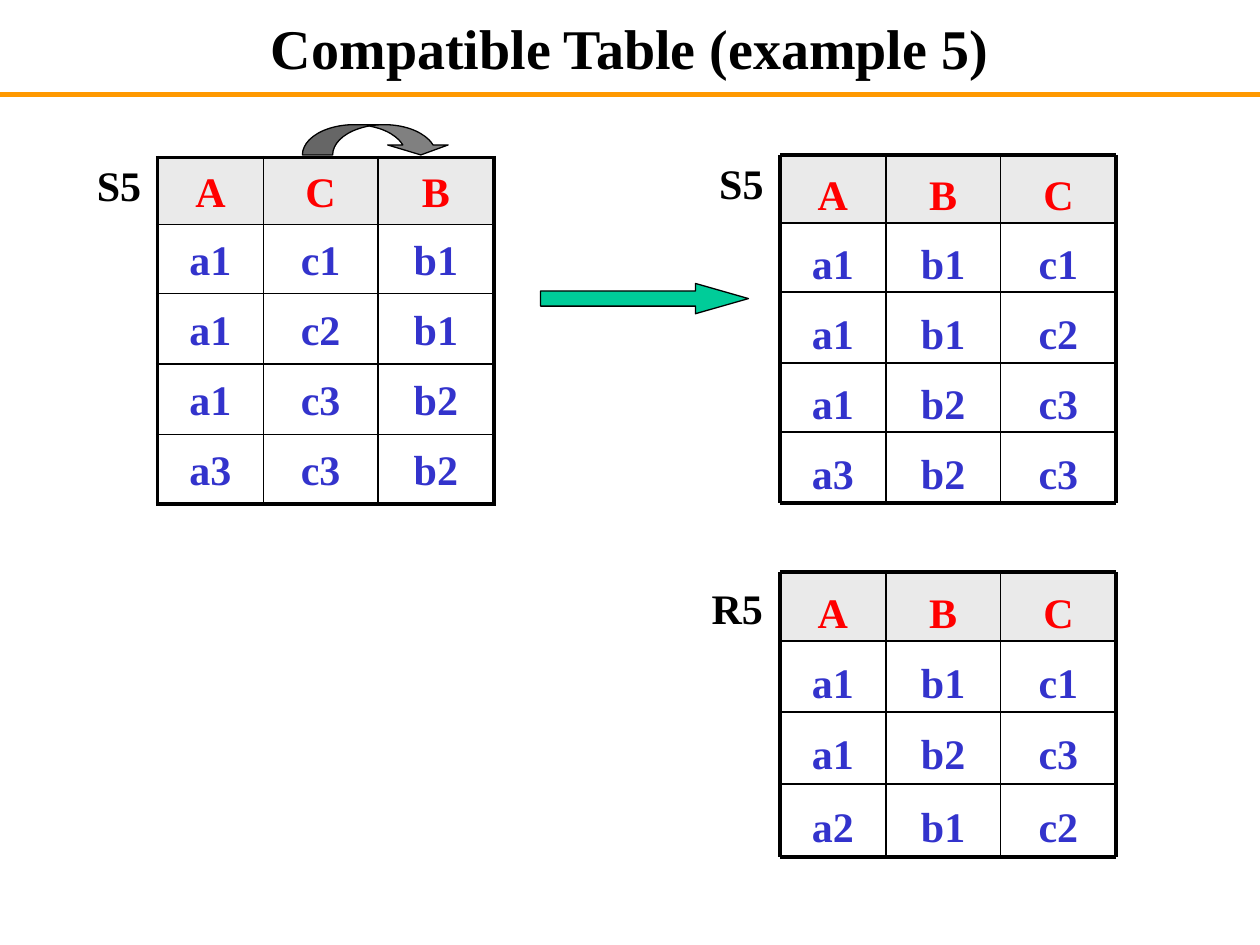
from itertools import accumulate

from lxml import etree
from pptx import Presentation
from pptx.dml.color import RGBColor
from pptx.enum.shapes import MSO_CONNECTOR, MSO_SHAPE
from pptx.enum.text import MSO_ANCHOR, MSO_AUTO_SIZE, PP_ALIGN
from pptx.oxml.ns import qn
from pptx.util import Inches, Pt

MIDDLE = MSO_ANCHOR.MIDDLE
CENTER = PP_ALIGN.CENTER
FIT_TEXT = MSO_AUTO_SIZE.SHAPE_TO_FIT_TEXT
STRAIGHT = MSO_CONNECTOR.STRAIGHT
RECTANGLE = MSO_SHAPE.RECTANGLE
BLACK = RGBColor(0x00, 0x00, 0x00)
WHITE = RGBColor(0xFF, 0xFF, 0xFF)
ORANGE = RGBColor(0xFF, 0x99, 0x00)
RED = RGBColor(0xFF, 0x00, 0x00)
BLUE = RGBColor(0x33, 0x33, 0xCC)
LIGHT_GRAY = RGBColor(0xEA, 0xEA, 0xEA)
GRAY = RGBColor(0x80, 0x80, 0x80)
GREEN = RGBColor(0x00, 0xCC, 0x99)

TITLE = "Compatible Table (example 5)"
COLUMN_WIDTHS = (0.84, 0.91, 0.92)
OUTER, INNER = 2.25, 1
BOX_TEXT_DROP = 0.04

SOURCE_TABLE = {
    "label": "S5", "label_at": (0.67, 1.27), "at": (1.25, 1.25),
    "heights": (0.53, 0.55, 0.56, 0.56, 0.55),
    "rows": ["A C B", "a1 c1 b1", "a1 c2 b1", "a1 c3 b2", "a3 c3 b2"]}
BOX_GRIDS = [
    {"label": "R5", "label_at": (5.55, 4.62), "at": (6.19, 4.54),
     "heights": (0.55, 0.56, 0.57, 0.58),
     "rows": ["A B C", "a1 b1 c1", "a1 b2 c3", "a2 b1 c2"]},
    {"label": "S5", "label_at": (5.61, 1.25), "at": (6.19, 1.23),
     "heights": (0.54, 0.55, 0.56, 0.55, 0.56),
     "rows": ["A B C", "a1 b1 c1", "a1 b1 c2", "a1 b2 c3", "a3 b2 c3"]},
]
ARROWS = [
    {"shape": MSO_SHAPE.RIGHT_ARROW, "at": (4.29, 2.25, 1.65, 0.24),
     "adjust": (0.5, 1.75), "fill": GREEN, "flip": False},
    {"shape": MSO_SHAPE.CURVED_UP_ARROW, "at": (2.4, 0.99, 1.18, 0.24),
     "adjust": (1, 2, 0.33), "fill": GRAY, "flip": True},
]


def write(frame, text, size, color, **paragraph_format):
    para = frame.paragraphs[0]
    span = para.add_run()
    span.text = text
    for name, value in paragraph_format.items():
        setattr(para, name, value)
    font_format = {"name": "Times New Roman", "size": Pt(size), "bold": True}
    for name, value in font_format.items():
        setattr(span.font, name, value)
    span.font.color.rgb = color


def add_line(shapes, start, end, color, width):
    line = shapes.add_connector(STRAIGHT, *map(Inches, start + end))
    line.line.color.rgb = color
    line.line.width = Pt(width)
    etree.SubElement(line._element.spPr, qn("a:effectLst"))


def add_label(shapes, relation):
    left, top = relation["label_at"]
    box = shapes.add_textbox(Inches(left), Inches(top), Inches(0.83), Inches(0.4))
    frame = box.text_frame
    frame.word_wrap = True
    frame.auto_size = FIT_TEXT
    frame.margin_top = frame.margin_bottom = 0
    write(frame, relation["label"], 24, BLACK)


def fill_cell(cell, row, text):
    """Colour and label a table cell or a box; row 0 is the header."""
    cell.fill.solid()
    cell.fill.fore_color.rgb = LIGHT_GRAY if row == 0 else WHITE
    write(cell.text_frame, text, 24, RED if row == 0 else BLUE,
          alignment=CENTER, line_spacing=1.1)


def set_borders(cell, widths):
    """Draw black borders; widths are in points, keyed L, R, T, B."""
    properties = cell._tc.get_or_add_tcPr()
    for side, width in widths.items():
        line = etree.SubElement(properties, qn(f"a:ln{side}"), w=str(Pt(width)))
        fill = etree.SubElement(line, qn("a:solidFill"))
        etree.SubElement(fill, qn("a:srgbClr"), val=str(BLACK))


def add_relation_table(page, relation):
    heights = relation["heights"]
    last_row, last_column = len(heights) - 1, len(COLUMN_WIDTHS) - 1
    left, top = relation["at"]
    table = page.shapes.add_table(
        len(heights), len(COLUMN_WIDTHS), Inches(left), Inches(top),
        Inches(sum(COLUMN_WIDTHS)), Inches(sum(heights))).table
    table.first_row = table.horz_banding = False
    for column, width in zip(table.columns, COLUMN_WIDTHS):
        column.width = Inches(width)
    for r, row in enumerate(relation["rows"]):
        table.rows[r].height = Inches(heights[r])
        for c, text in enumerate(row.split()):
            cell = table.cell(r, c)
            set_borders(cell, {
                "L": OUTER if c == 0 else INNER,
                "R": OUTER if c == last_column else INNER,
                "T": OUTER if r == 0 else INNER,
                "B": OUTER if r == last_row else INNER,
            })
            cell.vertical_anchor = MIDDLE
            cell.margin_top = cell.margin_bottom = 0
            fill_cell(cell, r, text)
    add_label(page.shapes, relation)


def add_relation_boxes(page, relation):
    """Build a relation as a group of boxes with ruled lines on top."""
    shapes = page.shapes.add_group_shape().shapes
    left, top = relation["at"]
    xs = list(accumulate(COLUMN_WIDTHS, initial=left))
    ys = list(accumulate(relation["heights"], initial=top))
    for r, row in enumerate(relation["rows"]):
        for c, text in enumerate(row.split()):
            box = shapes.add_shape(RECTANGLE, *map(
                Inches, (xs[c], ys[r], xs[c + 1] - xs[c], ys[r + 1] - ys[r])))
            box.shadow.inherit = False
            box.line.fill.background()
            frame = box.text_frame
            frame.word_wrap = True
            frame.vertical_anchor = MIDDLE
            frame.margin_top, frame.margin_bottom = Inches(BOX_TEXT_DROP), 0
            fill_cell(box, r, text)
    for y in ys:
        width = OUTER if y in (ys[0], ys[-1]) else INNER
        add_line(shapes, (xs[0], y), (xs[-1], y), BLACK, width)
    for x in xs:
        width = OUTER if x in (xs[0], xs[-1]) else INNER
        add_line(shapes, (x, ys[0]), (x, ys[-1]), BLACK, width)
    add_label(shapes, relation)


def add_arrow(page, arrow):
    shape = page.shapes.add_shape(arrow["shape"], *map(Inches, arrow["at"]))
    for index, value in enumerate(arrow["adjust"]):
        shape.adjustments[index] = value
    shape.shadow.inherit = False
    shape.fill.solid()
    shape.fill.fore_color.rgb = arrow["fill"]
    shape.line.color.rgb = BLACK
    shape.line.width = Pt(0.75)
    if arrow["flip"]:
        shape._element.spPr.find(qn("a:xfrm")).set("flipV", "1")


def add_title(page):
    add_line(page.shapes, (0, 0.75), (10, 0.75), ORANGE, 3)
    title = page.shapes.title
    title.left, title.top, title.width, title.height = map(
        Inches, (0.75, 0.08, 8.5, 0.58))
    title.text_frame.vertical_anchor = MIDDLE
    write(title.text_frame, TITLE, 32, BLACK, alignment=CENTER)


def main():
    deck = Presentation()
    deck.slide_width, deck.slide_height = Inches(10), Inches(7.5)
    page = deck.slides.add_slide(deck.slide_layouts[5])
    add_title(page)
    add_relation_table(page, SOURCE_TABLE)
    for relation in BOX_GRIDS:
        add_relation_boxes(page, relation)
    for arrow in ARROWS:
        add_arrow(page, arrow)
    deck.save("out.pptx")


if __name__ == "__main__":
    main()
